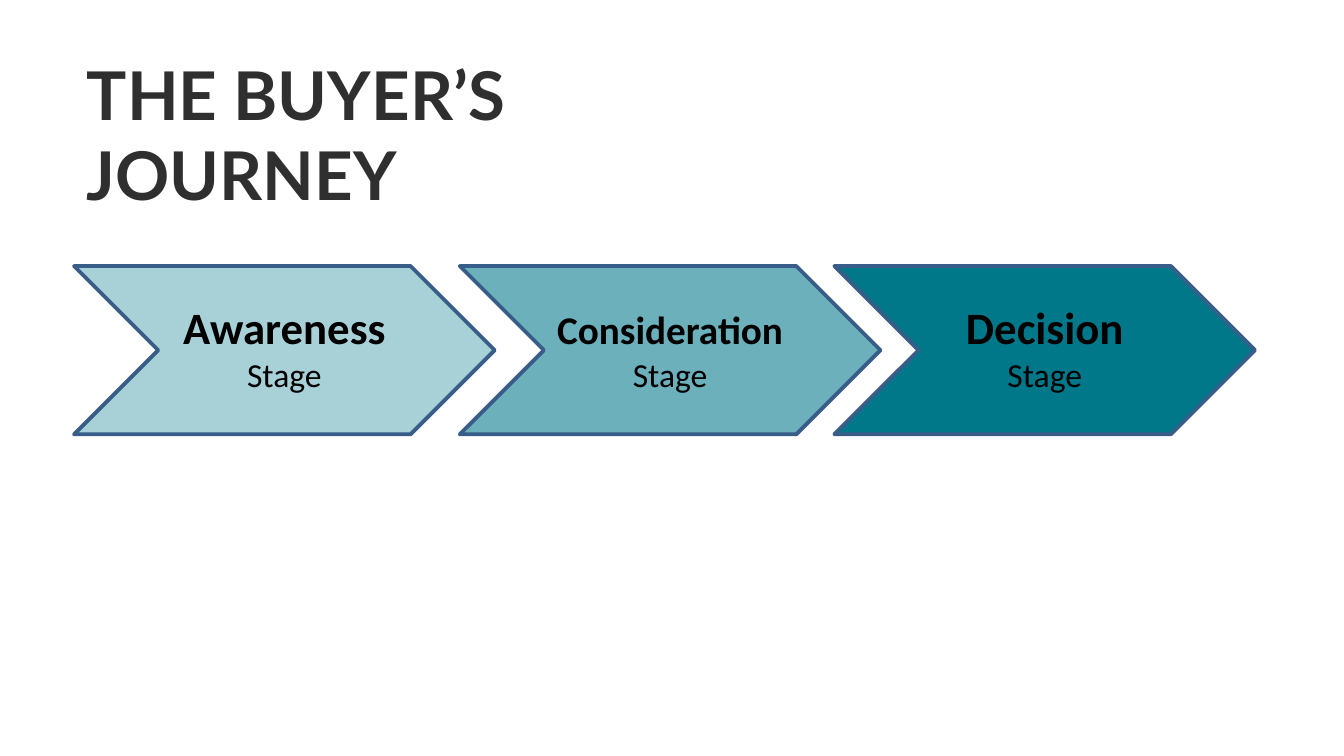
"""Build a slide with the three stages of the buyer's journey."""
from lxml import etree
from pptx import Presentation
from pptx import util as u
from pptx.dml.color import RGBColor
from pptx.enum import shapes, text
from pptx.oxml import ns

COLOURS = {"teal": "01778A", "outline": "385D89", "title": "2F2F2F", "label": "000000"}
STAGES = [
    {"name": "Awareness", "left": 1.4, "opacity": 34, "size": 24,
     "width": 3.91, "height": 1.85, "gap": 0.3},
    {"name": "Consideration", "left": 8.69, "opacity": 58, "size": 21,
     "width": 4.34, "height": 1.75, "gap": 0.9},
    {"name": "Decision", "left": 15.77, "opacity": 100, "size": 24,
     "width": 3.05, "height": 1.85, "gap": 0.3},
]
CHEVRON_TOP, CHEVRON_WIDTH, CHEVRON_HEIGHT = 5.03, 7.95, 3.18
LABEL_BOTTOM = 7.49


def colour(name):
    return RGBColor.from_string(COLOURS[name])


def add_chevron(page, left, opacity):
    chevron = page.shapes.add_shape(
        shapes.MSO_SHAPE.CHEVRON, u.Cm(left), u.Cm(CHEVRON_TOP),
        u.Cm(CHEVRON_WIDTH), u.Cm(CHEVRON_HEIGHT))
    chevron.shadow.inherit = False
    chevron.fill.solid()
    chevron.fill.fore_color.rgb = colour("teal")
    if opacity < 100:
        fill = chevron.fill._xPr.find(ns.qn("a:solidFill"))
        etree.SubElement(fill[0], ns.qn("a:alpha"), val=str(opacity * 1000))
    chevron.line.color.rgb = colour("outline")
    chevron.line.width = u.Pt(2.04)
    etree.SubElement(chevron.line._ln, ns.qn("a:round"))


def add_text(page, left, top, width, height, lines, font, ink, align):
    box = page.shapes.add_textbox(u.Cm(left), u.Cm(top), u.Cm(width), u.Cm(height))
    frame = box.text_frame
    frame.text = "\n".join(line["text"] for line in lines)
    frame.word_wrap = True
    frame.margin_left = frame.margin_right = frame.margin_bottom = 0
    frame.margin_top = u.Cm(0.03)
    for para, line in zip(frame.paragraphs, lines):
        para.alignment = align
        para.space_before = u.Pt(line.get("gap", 0))
        for span in para.runs:
            span.font.name = font
            span.font.size = u.Pt(line["size"])
            span.font.bold = line["bold"]
            span.font.color.rgb = colour(ink)


def add_stage(page, stage):
    add_chevron(page, stage["left"], stage["opacity"])
    lines = [
        {"text": stage["name"], "size": stage["size"], "bold": True},
        {"text": "Stage", "size": 18, "bold": False, "gap": stage["gap"]},
    ]
    left = stage["left"] + (CHEVRON_WIDTH - stage["width"]) / 2
    add_text(page, left, LABEL_BOTTOM - stage["height"], stage["width"],
             stage["height"], lines, "Calibri", "label", text.PP_ALIGN.CENTER)


def main():
    deck = Presentation()
    deck.slide_width, deck.slide_height = u.Cm(25.4), u.Cm(14.29)
    page = deck.slides.add_slide(deck.slide_layouts[6])
    for stage in STAGES:
        add_stage(page, stage)
    title = [{"text": "THE BUYER’S JOURNEY", "size": 36, "bold": True}]
    add_text(page, 1.64, 0.97, 13.89, 1.6, title, "Lato", "title", text.PP_ALIGN.LEFT)
    deck.save("out.pptx")


if __name__ == "__main__":
    main()
